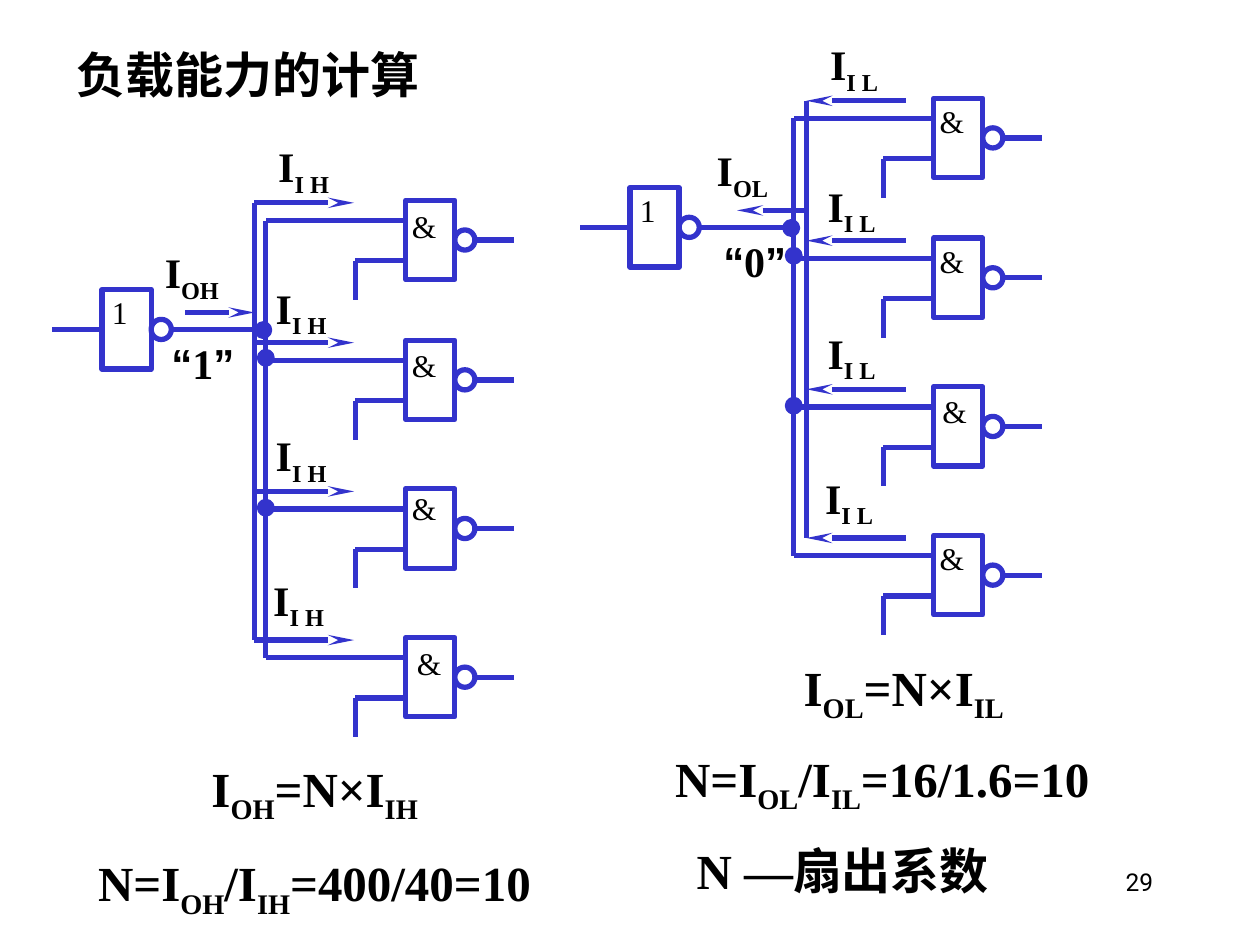
from lxml import etree
from pptx import Presentation
from pptx import util as u
from pptx.dml import color
from pptx.enum import shapes, text
from pptx.oxml import ns

SERIF, SANS = "Times New Roman", "Arial"
BLACK, WHITE, BLUE = "000000", "FFFFFF", "3333CC"

GATE_W, GATE_H, BUBBLE, DOT = 0.39, 0.63, 0.16, 0.1
GATE_TOPS = [1.59, 2.7, 3.88, 5.06]
LABEL_SPOTS = [(2.11, 1.07), (2.09, 2.19), (2.09, 3.36), (2.07, 4.51)]
DOT_SPOTS = [(2.04, 2.57), (2.06, 2.79), (2.06, 3.98)]


def rgb(value):
    return color.RGBColor.from_string(value)


def subscripts(marked):
    """Split on bars: every second piece is a subscript."""
    return [(piece, {"low": bool(i % 2)})
            for i, piece in enumerate(marked.split("|"))]


def add_span(para, words, size=24, font=SERIF, bold=True, low=False):
    span = para.add_run()
    span.text = words
    span.font.size = u.Pt(size)
    span.font.name = font
    span.font.bold = bold
    span.font.color.rgb = rgb(BLACK)
    if low:
        span._r.get_or_add_rPr().set("baseline", "-25000")


def write(box, pieces, align=text.PP_ALIGN.LEFT, anchor=text.MSO_ANCHOR.TOP,
          **style):
    frame = box.text_frame
    frame.word_wrap = True
    frame.vertical_anchor = anchor
    para = frame.paragraphs[0]
    para.alignment = align
    for words, extra in pieces:
        add_span(para, words, **{**style, **extra})


class Sketch:
    """Holds the slide, the line style and the origin of the current circuit."""

    def __init__(self, page, line_color=BLUE, line_width=3):
        self.page = page
        self.line_color = line_color
        self.line_width = u.Pt(line_width)
        self.move_to(0, 0)

    def move_to(self, x, y):
        self.x, self.y = x, y

    def place(self, x, y):
        return u.Inches(self.x + x), u.Inches(self.y + y)

    def title(self, words, x, y, w, h):
        box = self.page.shapes.title
        box.left, box.top = self.place(x, y)
        box.width, box.height = u.Inches(w), u.Inches(h)
        write(box, [(words, {})], anchor=text.MSO_ANCHOR.MIDDLE, size=28)

    def label(self, pieces, x, y, w, h, **style):
        box = self.page.shapes.add_textbox(
            *self.place(x, y), u.Inches(w), u.Inches(h))
        write(box, pieces, **style)

    def shape(self, kind, x, y, w, h, fill=None, line=None):
        box = self.page.shapes.add_shape(
            kind, *self.place(x, y), u.Inches(w), u.Inches(h))
        box.shadow.inherit = False
        if fill:
            box.fill.solid()
            box.fill.fore_color.rgb = rgb(fill)
        else:
            box.fill.background()
        box.line.color.rgb = rgb(line or self.line_color)
        box.line.width = self.line_width
        return box

    def circle(self, x, y, size, fill=None):
        return self.shape(shapes.MSO_SHAPE.OVAL, x, y, size, size, fill)

    def formula(self, marked, x, y, w):
        box = self.shape(shapes.MSO_SHAPE.RECTANGLE, x, y, w, 0.57, line=WHITE)
        write(box, subscripts(marked), size=28)

    def wire(self, x1, y1, x2, y2, arrow=None):
        """arrow is "headEnd" (at the start), "tailEnd" (at the end) or None."""
        wire = self.page.shapes.add_connector(
            shapes.MSO_CONNECTOR.STRAIGHT,
            *self.place(x1, y1), *self.place(x2, y2))
        wire.line.color.rgb = rgb(self.line_color)
        wire.line.width = self.line_width
        if arrow:
            etree.SubElement(wire.line._get_or_add_ln(), ns.qn("a:" + arrow),
                             type="stealth", w="sm", len="lg")
        etree.SubElement(wire._element.spPr, ns.qn("a:effectLst"))
        return wire

    def gate(self, x, y, sign, sign_x, sign_y):
        box = self.shape(shapes.MSO_SHAPE.RECTANGLE, x, y, GATE_W, GATE_H)
        self.circle(x + GATE_W, y + (GATE_H - BUBBLE) / 2, BUBBLE)
        self.label([(sign, {})], sign_x, sign_y, 0.41, 0.4,
                   size=18, bold=False)
        return box

    def currents(self, shift, inward, level, driver_name, load_name):
        """Arrows and names of the output current and the input currents."""
        bus, end = 2.02 + shift, 2.81 + shift
        self.wire(1.47 + shift, 2.48, bus, 2.48,
                  "headEnd" if inward else "tailEnd")
        self.wire(bus, 1.61, bus, 5.08)
        for top in GATE_TOPS:
            start, stop = (end, bus) if inward else (bus, end)
            self.wire(start, top + 0.02, stop, top + 0.02, "tailEnd")
        quoted = [("“", {"font": SANS}), (level, {}), ("”", {"font": SANS})]
        self.label(quoted, 1.19 + shift, 2.63, 0.84, 0.5,
                   align=text.PP_ALIGN.CENTER)
        self.label(subscripts(driver_name), 1.21 + shift, 1.91, 0.87, 0.5)
        for x, y in LABEL_SPOTS:
            self.label(subscripts(load_name), x + shift, y, 0.76, 0.5)

    def gates(self, sign_spots):
        """One driving gate feeding four load gates over a common bus."""
        middle = GATE_H / 2
        left, bus, stub = 3.22, 2.11, 2.82
        right = left + GATE_W + BUBBLE
        for top, (sign_x, sign_y) in zip(GATE_TOPS, sign_spots):
            self.gate(left, top, "&", sign_x, sign_y)
            self.wire(left, top + 0.16, bus, top + 0.16)
            self.wire(left, top + 0.48, stub, top + 0.48)
            self.wire(stub, top + 0.48, stub, top + 0.79)
            self.wire(right, top + middle, right + 0.31, top + middle)
        self.wire(bus, GATE_TOPS[0] + 0.16, bus, GATE_TOPS[-1] + 0.16)

        driver_x, driver_y = 0.81, 2.3
        axis = driver_y + middle
        driver = self.gate(driver_x, driver_y, "1", 0.79, 2.28)
        self.wire(driver_x, axis, 0.41, axis).begin_connect(driver, 1)
        self.wire(driver_x + GATE_W + BUBBLE, axis, 2.13, axis)
        for x, y in DOT_SPOTS:
            self.circle(x, y, DOT, fill=self.line_color)


def main():
    deck = Presentation()
    deck.slide_width, deck.slide_height = u.Inches(10), u.Inches(7.5)
    sketch = Sketch(deck.slides.add_slide(deck.slide_layouts[5]))
    sketch.title("负载能力的计算", 0.51, 0.31, 3.22, 0.55)

    # High output: current flows from the driver to the loads
    sketch.currents(0, False, "1", "I|OH", "I|I H")
    sketch.gates([(3.17, 1.59), (3.17, 2.7), (3.17, 3.83), (3.21, 5.06)])

    # Low output: the same circuit, current flows into the driver
    sketch.move_to(4.19, -0.81)
    sketch.currents(0.19, True, "0", "I|OL", "I|I L")
    sketch.gates([(3.17, 1.57), (3.17, 2.68), (3.19, 3.87), (3.17, 5.04)])

    # Formulas
    sketch.move_to(0, 0)
    sketch.formula("I|OH|=N×I|IH", 1.58, 5.97, 2.11)
    sketch.formula("N=I|OH|/I|IH|=400/40=10", 0.68, 6.72, 4.02)
    sketch.formula("I|OL|=N×I|IL", 6.28, 5.17, 2.11)
    sketch.formula("N=I|OL|/I|IL|=16/1.6=10", 5.26, 5.89, 4.02)
    sketch.formula("N —扇出系数", 5.43, 6.62, 2.81)

    # Page number
    sketch.label([("29", {})], 7.17, 6.83, 2.08, 0.5, size=14, font="Roboto",
                 bold=False, align=text.PP_ALIGN.RIGHT)
    deck.save("out.pptx")


if __name__ == "__main__":
    main()
